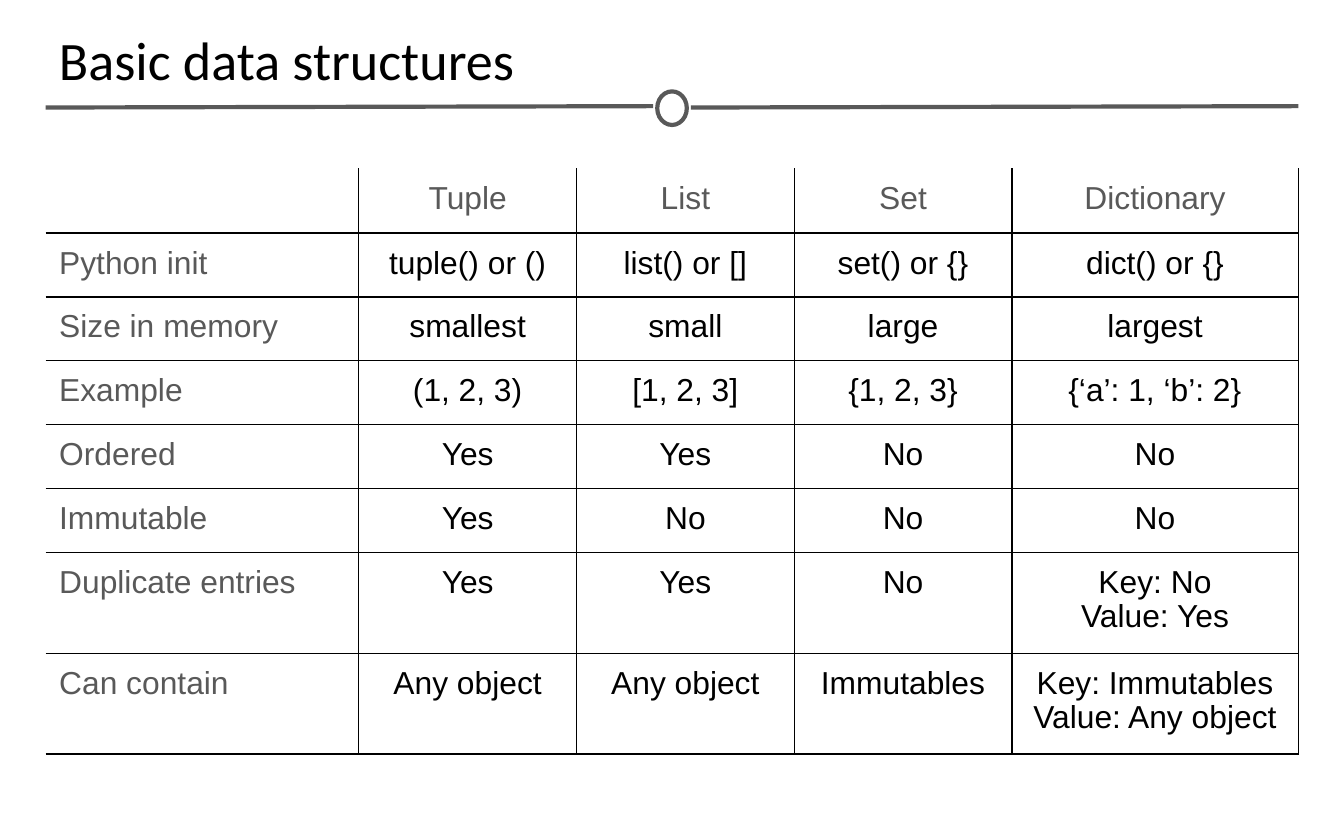
from lxml import etree
from pptx import Presentation
from pptx.dml.color import RGBColor
from pptx.enum.shapes import MSO_CONNECTOR, MSO_SHAPE
from pptx.enum.text import MSO_ANCHOR, PP_ALIGN
from pptx.oxml.ns import qn
from pptx.util import Inches, Pt

BLACK = RGBColor(0x00, 0x00, 0x00)
GRAY = RGBColor(0x59, 0x59, 0x59)

LEFT = 0.34
CONTENT_WIDTH = 9.32
INSET = Inches(0.1)

COLUMN_WIDTHS = [2.33, 1.62, 1.62, 1.62, 2.13]
ROW_HEIGHTS = [0.48] + [0.465] * 5 + [0.73] * 2
TABLE_ROWS = [
    ["", "Tuple", "List", "Set", "Dictionary"],
    ["Python init", "tuple() or ()", "list() or []", "set() or {}", "dict() or {}"],
    ["Size in memory", "smallest", "small", "large", "largest"],
    ["Example", "(1, 2, 3)", "[1, 2, 3]", "{1, 2, 3}", "{‘a’: 1, ‘b’: 2}"],
    ["Ordered", "Yes", "Yes", "No", "No"],
    ["Immutable", "Yes", "No", "No", "No"],
    ["Duplicate entries", "Yes", "Yes", "No", "Key: No\nValue: Yes"],
    ["Can contain", "Any object", "Any object", "Immutables",
     "Key: Immutables\nValue: Any object"],
]


def format_text(text_frame, font_name, size, color, alignment):
    for paragraph in text_frame.paragraphs:
        paragraph.alignment = alignment
        paragraph.font.size = Pt(size)
        for run in paragraph.runs:
            run.font.name = font_name
            run.font.size = Pt(size)
            run.font.color.rgb = color


def add_title(slide, text):
    box = slide.shapes.add_textbox(
        Inches(LEFT), Inches(0.08), Inches(CONTENT_WIDTH), Inches(0.7))
    text_frame = box.text_frame
    text_frame.word_wrap = True
    text_frame.vertical_anchor = MSO_ANCHOR.BOTTOM
    text_frame.margin_left = text_frame.margin_right = INSET
    text_frame.margin_top = text_frame.margin_bottom = INSET
    text_frame.text = text
    format_text(text_frame, "Calibri", 29, BLACK, PP_ALIGN.LEFT)


def add_rule(slide, start, end):
    rule = slide.shapes.add_connector(
        MSO_CONNECTOR.STRAIGHT,
        Inches(start), Inches(0.8), Inches(end), Inches(0.79))
    rule.line.color.rgb = GRAY
    rule.line.width = Pt(2.25)
    etree.SubElement(rule._element.spPr, qn("a:effectLst"))


def add_ring(slide):
    ring = slide.shapes.add_shape(
        MSO_SHAPE.OVAL, Inches(4.89), Inches(0.68), Inches(0.22), Inches(0.25))
    ring.shadow.inherit = False
    ring.fill.background()
    ring.line.color.rgb = GRAY
    ring.line.width = Pt(2.25)


def set_borders(cell, hidden_sides):
    properties = cell._tc.get_or_add_tcPr()
    # Borders come before the fill in the cell properties
    for position, side in enumerate(("lnL", "lnR", "lnT", "lnB")):
        border = etree.Element(qn(f"a:{side}"), w=str(Pt(0.75)))
        if side in hidden_sides:
            etree.SubElement(border, qn("a:noFill"))
        else:
            fill = etree.SubElement(border, qn("a:solidFill"))
            etree.SubElement(fill, qn("a:srgbClr"), val=str(BLACK))
        properties.insert(position, border)


def fill_cell(cell, text, is_header, is_label):
    cell.fill.background()
    cell.margin_left = cell.margin_right = INSET
    cell.margin_top = cell.margin_bottom = INSET
    cell.text_frame.text = text
    color = GRAY if is_header or is_label else BLACK
    alignment = PP_ALIGN.LEFT if is_label else PP_ALIGN.CENTER
    format_text(cell.text_frame, "Arial", 17, color, alignment)
    for paragraph in cell.text_frame.paragraphs:
        paragraph.line_spacing = 0.97

    # The table is open at the top and on the left
    hidden_sides = set()
    if is_header:
        hidden_sides.add("lnT")
    if is_label:
        hidden_sides.add("lnL")
    set_borders(cell, hidden_sides)


def add_comparison_table(slide):
    frame = slide.shapes.add_table(
        len(ROW_HEIGHTS), len(COLUMN_WIDTHS), Inches(LEFT), Inches(1.25),
        Inches(sum(COLUMN_WIDTHS)), Inches(sum(ROW_HEIGHTS)))
    table = frame.table
    table.first_row = False
    table.horz_banding = False
    for column, width in zip(table.columns, COLUMN_WIDTHS):
        column.width = Inches(width)
    for row, height in zip(table.rows, ROW_HEIGHTS):
        row.height = Inches(height)
    for row_index, texts in enumerate(TABLE_ROWS):
        for column_index, text in enumerate(texts):
            fill_cell(table.cell(row_index, column_index), text,
                      row_index == 0, column_index == 0)


def main():
    presentation = Presentation()
    presentation.slide_width = Inches(10)
    presentation.slide_height = Inches(6.25)
    slide = presentation.slides.add_slide(presentation.slide_layouts[6])

    # Divider with a ring in the middle
    add_rule(slide, LEFT, 4.86)
    add_rule(slide, 5.14, LEFT + CONTENT_WIDTH)
    add_ring(slide)

    # Title and table
    add_title(slide, "Basic data structures")
    add_comparison_table(slide)

    presentation.save("out.pptx")


if __name__ == "__main__":
    main()
